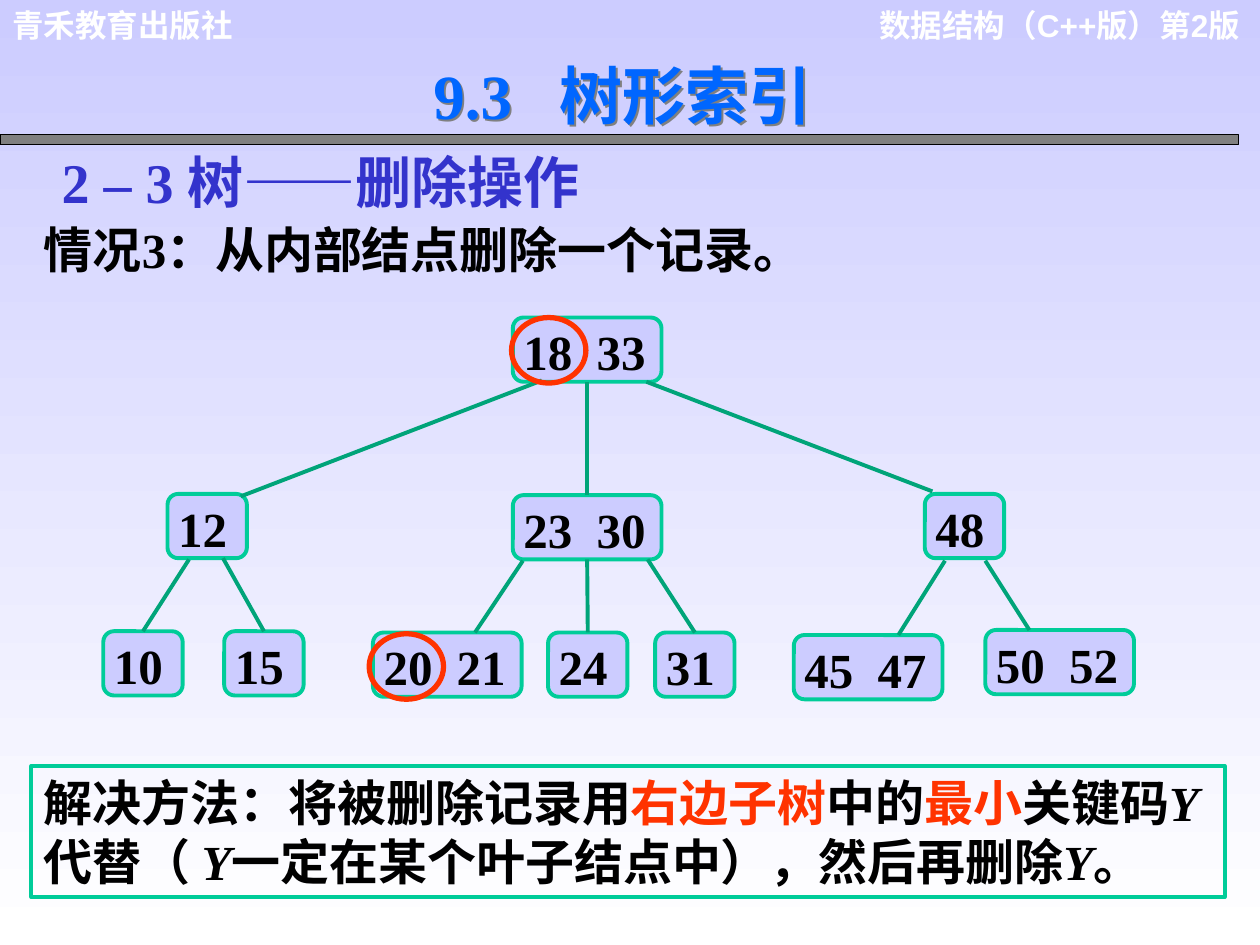
"""Build the slide on deleting a record from an internal node of a 2-3 tree."""
from dataclasses import dataclass

from lxml import etree
from pptx import Presentation
from pptx.dml.color import RGBColor
from pptx.enum.shapes import MSO_CONNECTOR as Connector, MSO_SHAPE as Shape
from pptx.enum.text import MSO_ANCHOR as Anchor, MSO_AUTO_SIZE as AutoSize, PP_ALIGN as Align
from pptx.oxml import parse_xml
from pptx.oxml.ns import nsdecls, qn
from pptx.util import Inches, Pt


@dataclass(frozen=True)
class Theme:
    serif: str = "Times New Roman"
    sans: str = "Arial"
    header_size: int = 18
    text_size: int = 28
    subtitle_size: int = 32
    title_size: int = 36
    line_width: float = 2.25
    ring_width: float = 3
    white: RGBColor = RGBColor(0xFF, 0xFF, 0xFF)
    black: RGBColor = RGBColor(0, 0, 0)
    lavender: RGBColor = RGBColor(0xCC, 0xCC, 0xFF)
    gray: RGBColor = RGBColor(0x80, 0x80, 0x80)
    title: RGBColor = RGBColor(0x00, 0x66, 0xFF)
    subtitle: RGBColor = RGBColor(0x33, 0x33, 0xCC)
    border: RGBColor = RGBColor(0x00, 0xCC, 0x99)
    edge: RGBColor = RGBColor(0x00, 0xA4, 0x79)
    accent: RGBColor = RGBColor(0xFF, 0x33, 0x00)


theme = Theme()


def write(shape, text, size, color, font=theme.serif, align=Align.LEFT,
          margins=(0.1, 0.05, 0.1, 0.05), anchor=Anchor.TOP, wrap=True, tab=None):
    frame = shape.text_frame
    frame.word_wrap = wrap
    frame.auto_size = AutoSize.NONE if wrap else AutoSize.SHAPE_TO_FIT_TEXT
    frame.vertical_anchor = anchor
    (frame.margin_left, frame.margin_top,
     frame.margin_right, frame.margin_bottom) = [Inches(margin) for margin in margins]
    paragraph = frame.paragraphs[0]
    paragraph.alignment = align
    if tab:
        tab_list = etree.SubElement(paragraph._p.get_or_add_pPr(), qn("a:tabLst"))
        etree.SubElement(tab_list, qn("a:tab"), pos=str(Inches(tab)), algn="l")
    pieces = [(text, color, False)] if isinstance(text, str) else text
    for words, piece_color, italic in pieces:
        run = paragraph.add_run()
        run.text = words
        run.font.name = font
        run.font.size = Pt(size)
        run.font.bold = True
        run.font.italic = italic
        run.font.color.rgb = piece_color


def add_box(kind, left, top, width, height, line, line_width, fill=None):
    shape = slide.shapes.add_shape(kind, Inches(left), Inches(top), Inches(width), Inches(height))
    shape.shadow.inherit = False
    shape.line.color.rgb = line
    shape.line.width = Pt(line_width)
    if fill is None:
        shape.fill.background()
    else:
        shape.fill.solid()
        shape.fill.fore_color.rgb = fill
    return shape


presentation = Presentation()
presentation.slide_width = Inches(10)
presentation.slide_height = Inches(7.5)
slide = presentation.slides.add_slide(presentation.slide_layouts[5])

background = slide.background.fill
background.gradient()
background.gradient_angle = 270
for stop, position, color in zip(background.gradient_stops, (0, 1), (theme.lavender, theme.white)):
    stop.position = position
    stop.color.rgb = color

headers = [
    ("数据结构（C++版）第2版", 6.77, 3.17, 0.7, Align.RIGHT),
    ("青禾教育出版社", 0, 2.71, 0.4, Align.LEFT),
]
for text, left, width, height, align in headers:
    header = slide.shapes.add_textbox(Inches(left), Inches(0), Inches(width), Inches(height))
    write(header, text, theme.header_size, theme.white, theme.sans, align)

add_box(Shape.RECTANGLE, 0, 1.07, 9.83, 0.08, theme.black, 0.75, theme.gray)

title = slide.shapes.title
title.left, title.top, title.width, title.height = Inches(3.34), Inches(0.4), Inches(4.08), Inches(0.7)
write(title, "9.3\t树形索引", theme.title_size, theme.title, tab=1)
title.fill.background()
title._element.spPr.append(parse_xml(
    f'<a:effectLst {nsdecls("a")}><a:outerShdw dist="17961" dir="2700000">'
    f'<a:srgbClr val="{theme.gray}"/></a:outerShdw></a:effectLst>'))

subtitle = slide.shapes.add_textbox(Inches(0.39), Inches(1.12), Inches(4.57), Inches(0.64))
write(subtitle, "2 – 3 树——删除操作", theme.subtitle_size, theme.subtitle)

case = slide.shapes.add_textbox(Inches(0.25), Inches(1.69), Inches(6.49), Inches(0.57))
write(case, "情况3：从内部结点删除一个记录。", theme.text_size, theme.black,
      anchor=Anchor.MIDDLE, wrap=False)

solution = add_box(Shape.RECTANGLE, 0.25, 6.08, 9.47, 1.04, theme.border, theme.line_width)
solution_pieces = [
    ("解决方法：将被删除记录用", theme.black, False),
    ("右边子树", theme.accent, False),
    ("中的", theme.black, False),
    ("最小", theme.accent, False),
    ("关键码", theme.black, False),
    ("Y", theme.black, True),
    ("代替（ ", theme.black, False),
    ("Y", theme.black, True),
    ("一定在某个叶子结点中），然后再删除", theme.black, False),
    ("Y", theme.black, True),
    ("。", theme.black, False),
]
write(solution, solution_pieces, theme.text_size, theme.black, anchor=Anchor.MIDDLE)

tree_nodes = [
    ("18\t33", 4.07, 2.52),
    ("12", 1.33, 3.92), ("23\t30", 4.07, 3.93), ("48", 7.34, 3.92),
    ("10", 0.82, 5.01), ("15", 1.78, 5.01),
    ("20\t21", 2.96, 5.02), ("24", 4.35, 5.02), ("31", 5.2, 5.02),
    ("45\t47", 6.3, 5.04), ("50\t52", 7.82, 5),
]
nodes = {}
for keys, left, top in tree_nodes:
    width = 1.18 if "\t" in keys else 0.63
    node = add_box(Shape.ROUNDED_RECTANGLE, left, top, width, 0.51,
                   theme.border, theme.line_width, theme.lavender)
    write(node, keys, theme.text_size, theme.black, align=Align.JUSTIFY,
          margins=(0.06, 0.01, 0.02, 0.01), tab=0.58)
    nodes[keys.split("\t")[0]] = node

edges = [
    ((4.3, 3.02), (1.91, 3.94), None, None),
    ((4.67, 3.01), (4.67, 3.92), "18", "23"),
    ((5.13, 3.03), (7.4, 3.9), None, None),
    ((1.5, 4.44), (1.12, 5.02), None, "10"),
    ((1.77, 4.43), (2.13, 4.98), None, "15"),
    ((4.15, 4.45), (3.77, 5.02), None, None),
    ((4.67, 4.45), (4.67, 5.05), "23", "24"),
    ((5.14, 4.44), (5.56, 5.08), None, "31"),
    ((7.5, 4.45), (7.13, 5.04), None, None),
    ((7.82, 4.45), (8.17, 5), None, None),
]
for start, end, parent, child in edges:
    edge = slide.shapes.add_connector(
        Connector.STRAIGHT, *[Inches(value) for value in start + end])
    edge.line.color.rgb = theme.edge
    edge.line.width = Pt(theme.line_width)
    etree.SubElement(edge._element.spPr, qn("a:effectLst"))
    if parent:
        edge.begin_connect(nodes[parent], 2)
    if child:
        edge.end_connect(nodes[child], 0)

for left, top in [(4.06, 2.52), (2.93, 5.03)]:
    add_box(Shape.OVAL, left, top, 0.59, 0.52, theme.accent, theme.ring_width)

presentation.save("out.pptx")
